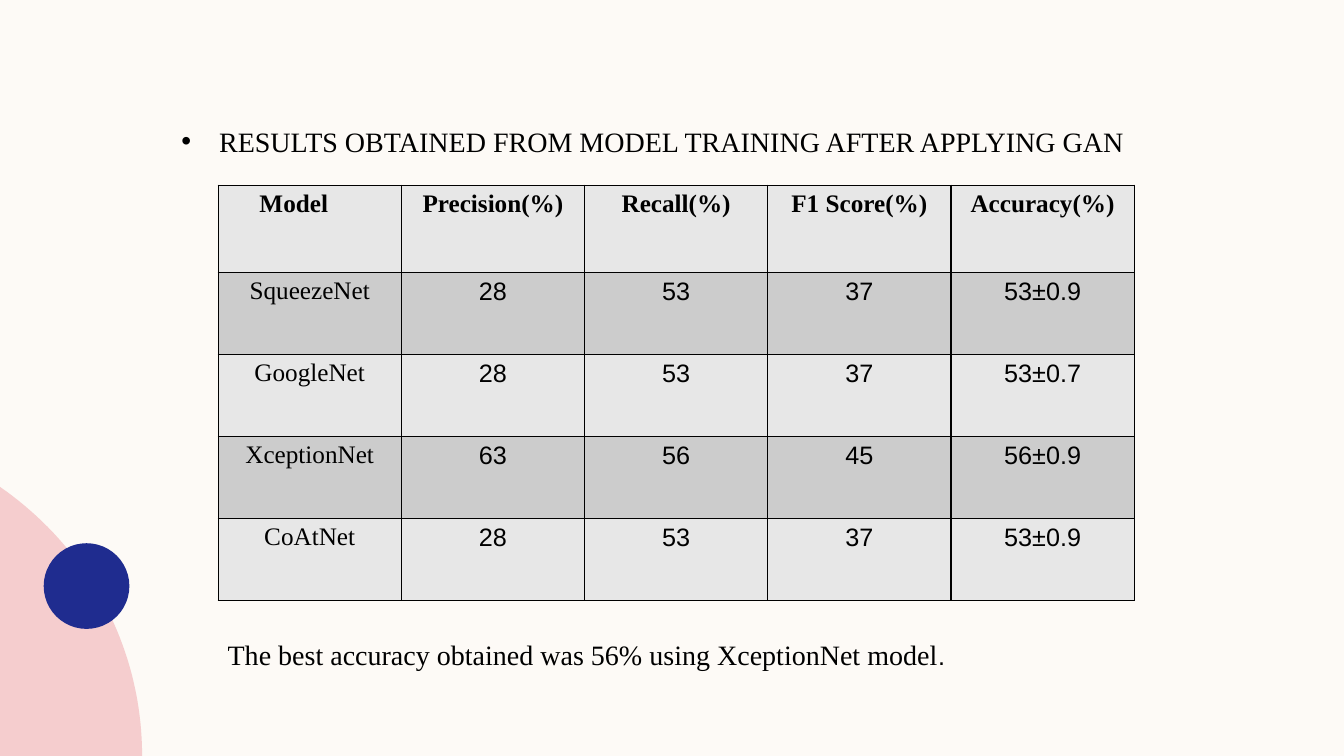
from pptx import Presentation
from pptx.dml.color import RGBColor
from pptx.enum.shapes import MSO_SHAPE as Shape
from pptx.enum.text import PP_ALIGN as Align
from pptx.oxml import parse_xml
from pptx.oxml.ns import nsdecls
from pptx.util import Pt

CREAM = RGBColor(0xFD, 0xFA, 0xF6)
PINK = RGBColor(0xF5, 0xCD, 0xCE)
NAVY = RGBColor(0x1F, 0x2C, 0x8F)
LIGHT = RGBColor(0xE7, 0xE7, 0xE7)
DARK = RGBColor(0xCC, 0xCC, 0xCC)
BLACK = RGBColor(0, 0, 0)
SERIF = "Times New Roman"
SANS = "Arial"

RESULTS = [
    ["Model", "Precision(%)", "Recall(%)", "F1 Score(%)", "Accuracy(%)"],
    ["SqueezeNet", "28", "53", "37", "53±0.9"],
    ["GoogleNet", "28", "53", "37", "53±0.7"],
    ["XceptionNet", "63", "56", "45", "56±0.9"],
    ["CoAtNet", "28", "53", "37", "53±0.9"],
]


class Page:
    def __init__(self, slide):
        self.slide = slide
        self.shapes = slide.shapes
        back = slide.background.fill
        back.solid()
        back.fore_color.rgb = CREAM

    def font(self, font, size, name=SERIF, bold=False):
        font.size, font.name, font.bold = Pt(size), name, bold
        font.color.rgb = BLACK

    def paint(self, shape, color):
        shape.shadow.inherit = False
        shape.fill.solid()
        shape.fill.fore_color.rgb = color
        shape.line.fill.background()

    def curve(self, ends, corner, color, steps=40):
        """Fill the area between a cubic curve and a corner point."""
        dots = []
        for i in range(steps + 1):
            t = i / steps
            u = 1 - t
            parts = (u ** 3, 3 * u * u * t, 3 * u * t * t, t ** 3)
            dots.append([Pt(sum(w * p[k] for w, p in zip(parts, ends)))
                         for k in (0, 1)])
        dots.append([Pt(v) for v in corner])
        form = self.shapes.build_freeform(*dots[0])
        form.add_line_segments(dots[1:], close=True)
        self.paint(form.convert_to_shape(), color)

    def disc(self, left, top, size, color):
        self.paint(self.shapes.add_shape(
            Shape.OVAL, Pt(left), Pt(top), Pt(size), Pt(size)), color)

    def text(self, left, top, width, height, words, wrap=True):
        box = self.shapes.add_textbox(Pt(left), Pt(top), Pt(width), Pt(height))
        frame = box.text_frame
        frame.word_wrap = wrap
        para = frame.paragraphs[0]
        para.add_run().text = words
        return frame, para

    def bullet(self, left, top, width, height, words, indent, size):
        frame, para = self.text(left, top, width, height, words)
        frame.margin_top = frame.margin_bottom = 0
        props = para._p.get_or_add_pPr()
        props.set("marL", str(Pt(indent)))
        props.set("indent", str(-Pt(indent)))
        props.append(parse_xml(f'<a:buFont {nsdecls("a")} typeface="{SANS}"/>'))
        props.append(parse_xml(f'<a:buChar {nsdecls("a")} char="•"/>'))
        self.font(para.font, size)

    def border(self, cell):
        props = cell._tc.get_or_add_tcPr()
        for side in "LRTB":
            props.append(parse_xml(
                f'<a:ln{side} {nsdecls("a")} w="{Pt(1)}"><a:solidFill>'
                f'<a:srgbClr val="{BLACK}"/></a:solidFill></a:ln{side}>'))

    def table(self, left, top, width, heights, rows, size):
        count = len(rows[0])
        table = self.shapes.add_table(
            len(rows), count, Pt(left), Pt(top),
            Pt(width * count), Pt(sum(heights))).table
        for col in table.columns:
            col.width = Pt(width)
        for r, row in enumerate(rows):
            table.rows[r].height = Pt(heights[r])
            for c, words in enumerate(row):
                cell = table.cell(r, c)
                self.border(cell)
                cell.fill.solid()
                cell.fill.fore_color.rgb = DARK if r % 2 else LIGHT
                cell.text = words
                para = cell.text_frame.paragraphs[0]
                para.alignment = Align.CENTER
                self.font(para.font, size, SANS if r and c else SERIF, r == 0)
        return table


def main():
    deck = Presentation()
    deck.slide_width, deck.slide_height = Pt(960), Pt(540)
    page = Page(deck.slides.add_slide(deck.slide_layouts[6]))

    # Corner decoration
    page.curve([(0, 347.8), (61.2, 390.2), (101.5, 460.1), (101.5, 540)],
               (0, 540), PINK)
    page.disc(31.2, 388, 61.2, NAVY)

    # Heading
    page.bullet(122.4, 88.6, 747.4, 30, RESULTS_HEAD, 27, 20)

    # Results table, with "Model" set a little left of centre
    table = page.table(155.8, 132.3, 130.9, [62.2] + [58.6] * 4, RESULTS, 18)
    table.cell(0, 0).margin_right = Pt(30)

    # Conclusion
    _, para = page.text(155.5, 451.5, 530, 31.5, BEST, wrap=False)
    page.font(para.runs[0].font, 20)
    stop = para.add_run()
    stop.text = "."
    page.font(stop.font, 18, SANS)

    deck.save("out.pptx")


RESULTS_HEAD = "RESULTS OBTAINED FROM MODEL TRAINING AFTER APPLYING GAN"
BEST = "The best accuracy obtained was 56% using XceptionNet model"

if __name__ == "__main__":
    main()
